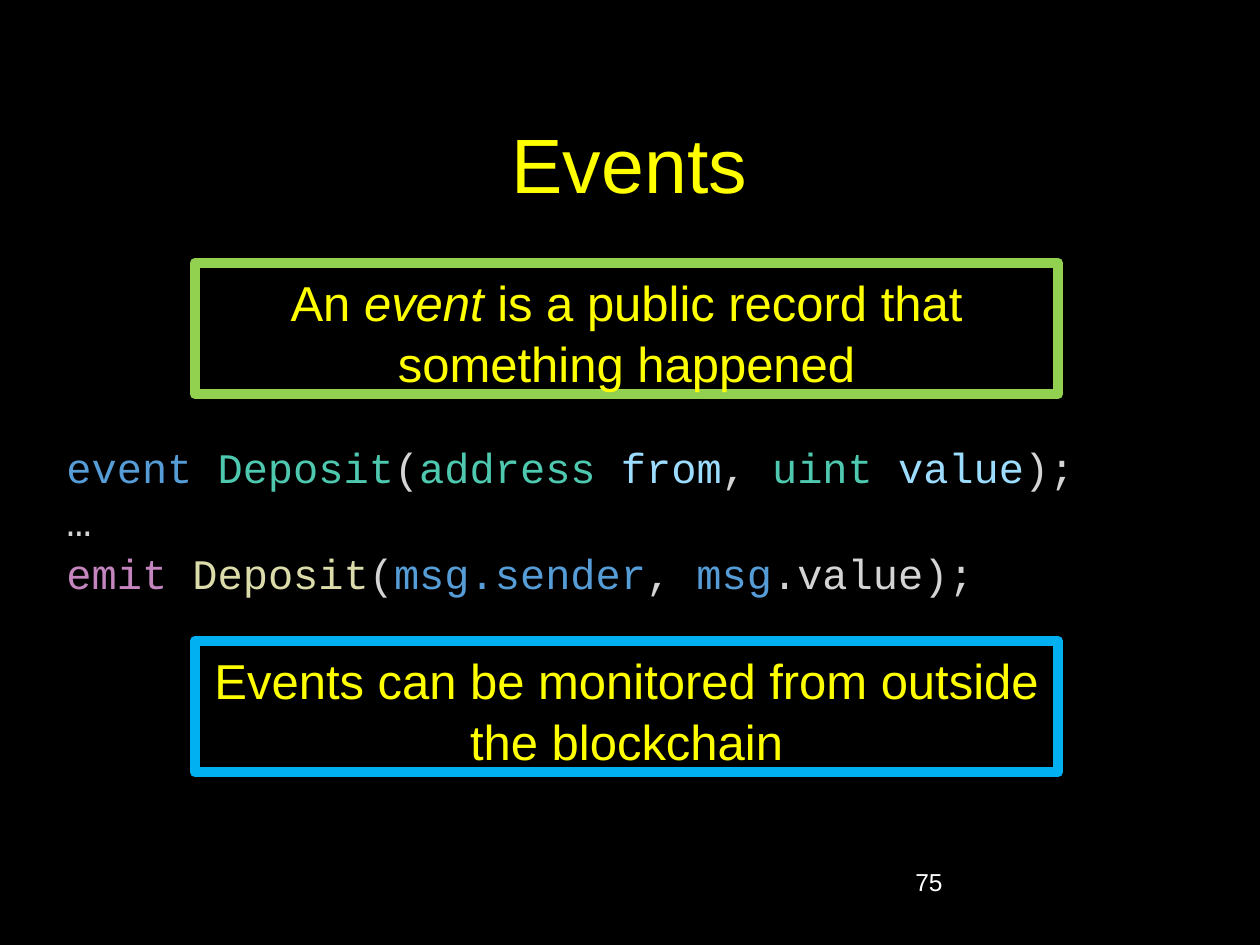
from dataclasses import dataclass

from pptx import Presentation
from pptx.dml.color import RGBColor
from pptx.enum.shapes import MSO_SHAPE
from pptx.enum.text import MSO_ANCHOR, PP_ALIGN
from pptx.util import Pt

RECTANGLE = MSO_SHAPE.RECTANGLE
TOP, MIDDLE = MSO_ANCHOR.TOP, MSO_ANCHOR.MIDDLE
LEFT, CENTER = PP_ALIGN.LEFT, PP_ALIGN.CENTER
EMU_PER_PX = 914400 / 126


@dataclass(frozen=True)
class Theme:
    background: str = "000000"
    heading: str = "FFFF00"
    number: str = "FFFFFF"
    green: str = "92D050"
    blue: str = "00B0F0"
    keyword: str = "569CD6"
    type_name: str = "4EC9B0"
    variable: str = "9CDCFE"
    plain: str = "D4D4D4"
    control: str = "C586C0"
    function: str = "DCDCAA"
    text_font: str = "Arial"
    code_font: str = "Courier New"
    title_size: int = 44
    callout_size: int = 28
    code_size: int = 24
    number_size: int = 14
    border: int = 6
    line_spacing: float = 1.05


THEME = Theme()

TITLE = "Events"
PAGE_NUMBER = "75"
# Callouts: top in px, border colour, text pieces as (text, italic)
CALLOUTS = [
    (263, THEME.green, [("An ", False), ("event", True),
                        (" is a public record that something happened", False)]),
    (641, THEME.blue,
     [("Events can be monitored from outside the blockchain", False)]),
]
CODE = [
    [("event ", THEME.keyword), ("Deposit", THEME.type_name), ("(", THEME.plain),
     ("address ", THEME.type_name), ("from", THEME.variable), (", ", THEME.plain),
     ("uint ", THEME.type_name), ("value", THEME.variable), (");", THEME.plain)],
    [("…", THEME.plain)],
    [("emit ", THEME.control), ("Deposit", THEME.function), ("(", THEME.plain),
     ("msg.sender", THEME.keyword), (", ", THEME.plain), ("msg", THEME.keyword),
     (".value);", THEME.plain)],
]


def px(length):
    return round(length * EMU_PER_PX)


def rgb(colour):
    return RGBColor.from_string(colour)


def write(shape, lines, size, font=THEME.text_font, align=LEFT, anchor=TOP,
          spacing=None):
    """Fill a shape with lines, each a list of (text, colour, italic) pieces."""
    frame = shape.text_frame
    frame.word_wrap = True
    frame.vertical_anchor = anchor
    for index, pieces in enumerate(lines):
        paragraph = frame.paragraphs[0] if index == 0 else frame.add_paragraph()
        paragraph.alignment = align
        if spacing:
            paragraph.line_spacing = spacing
        for text, colour, italic in pieces:
            run = paragraph.add_run()
            run.text = text
            run.font.name = font
            run.font.size = Pt(size)
            run.font.italic = italic
            run.font.color.rgb = rgb(colour)


def add_text(slide, box, text, size, colour, **layout):
    shape = slide.shapes.add_textbox(*map(px, box))
    write(shape, [[(text, colour, False)]], size, **layout)


def add_panel(slide, box, border=None):
    shape = slide.shapes.add_shape(RECTANGLE, *map(px, box))
    shape.shadow.inherit = False
    shape.fill.solid()
    shape.fill.fore_color.rgb = rgb(THEME.background)
    if border:
        shape.line.color.rgb = rgb(border)
        shape.line.width = Pt(THEME.border)
    else:
        shape.line.fill.background()
    return shape


def main():
    presentation = Presentation()
    presentation.slide_width, presentation.slide_height = px(1260), px(945)
    slide = presentation.slides.add_slide(presentation.slide_layouts[6])
    slide.background.fill.solid()
    slide.background.fill.fore_color.rgb = rgb(THEME.background)

    add_text(slide, (94, 84, 1071, 158), TITLE, THEME.title_size, THEME.heading,
             align=CENTER, anchor=MIDDLE)
    add_text(slide, (903, 861, 262, 63), PAGE_NUMBER, THEME.number_size,
             THEME.number)

    for top, border, pieces in CALLOUTS:
        callout = add_panel(slide, (195, top, 863, 131), border)
        line = [(text, THEME.heading, italic) for text, italic in pieces]
        write(callout, [line], THEME.callout_size, align=CENTER,
              spacing=THEME.line_spacing)

    code_panel = add_panel(slide, (54, 436, 1144, 165))
    code_lines = [[(text, colour, False) for text, colour in line]
                  for line in CODE]
    write(code_panel, code_lines, THEME.code_size, THEME.code_font,
          anchor=MIDDLE, spacing=THEME.line_spacing)

    presentation.save("out.pptx")


if __name__ == "__main__":
    main()
